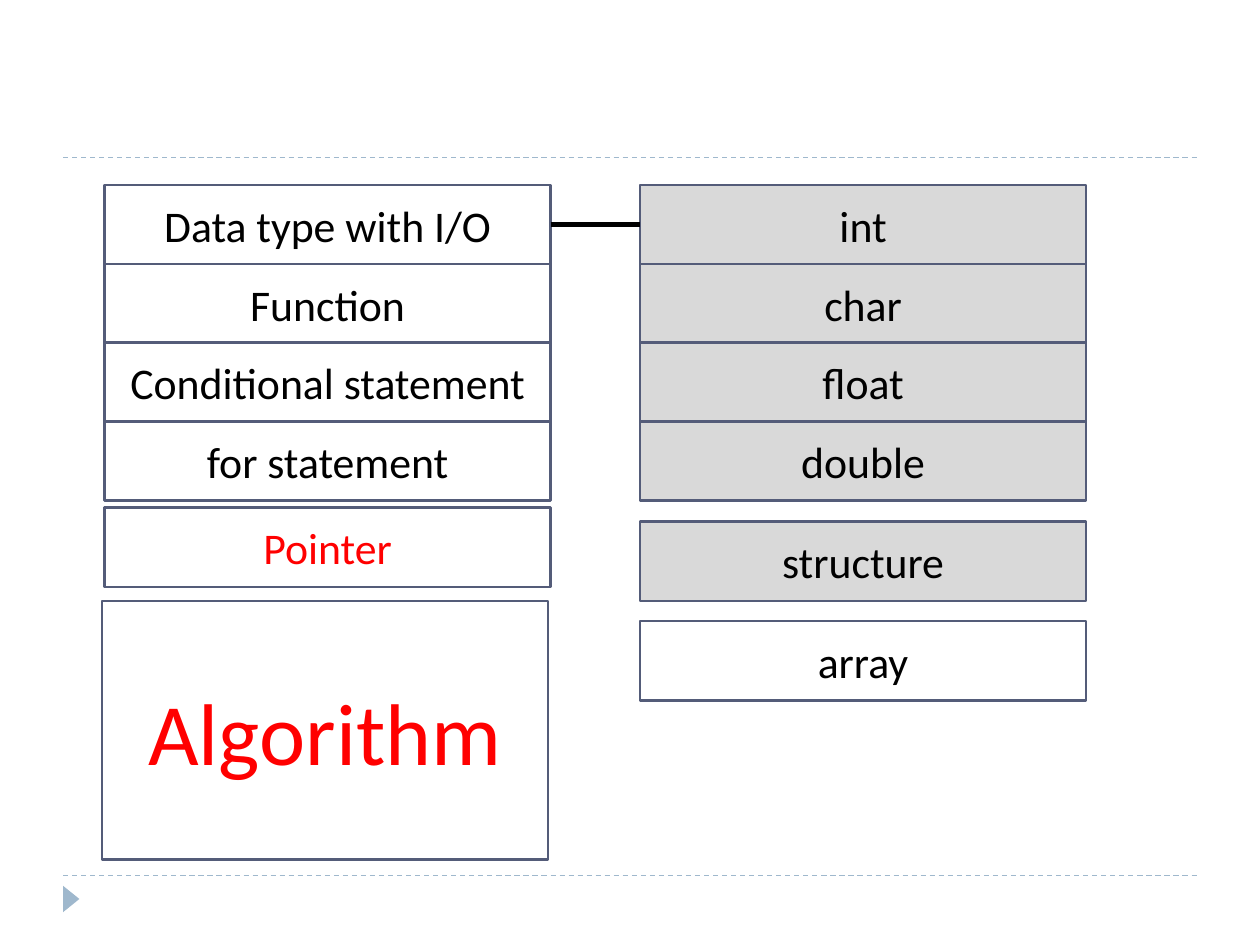
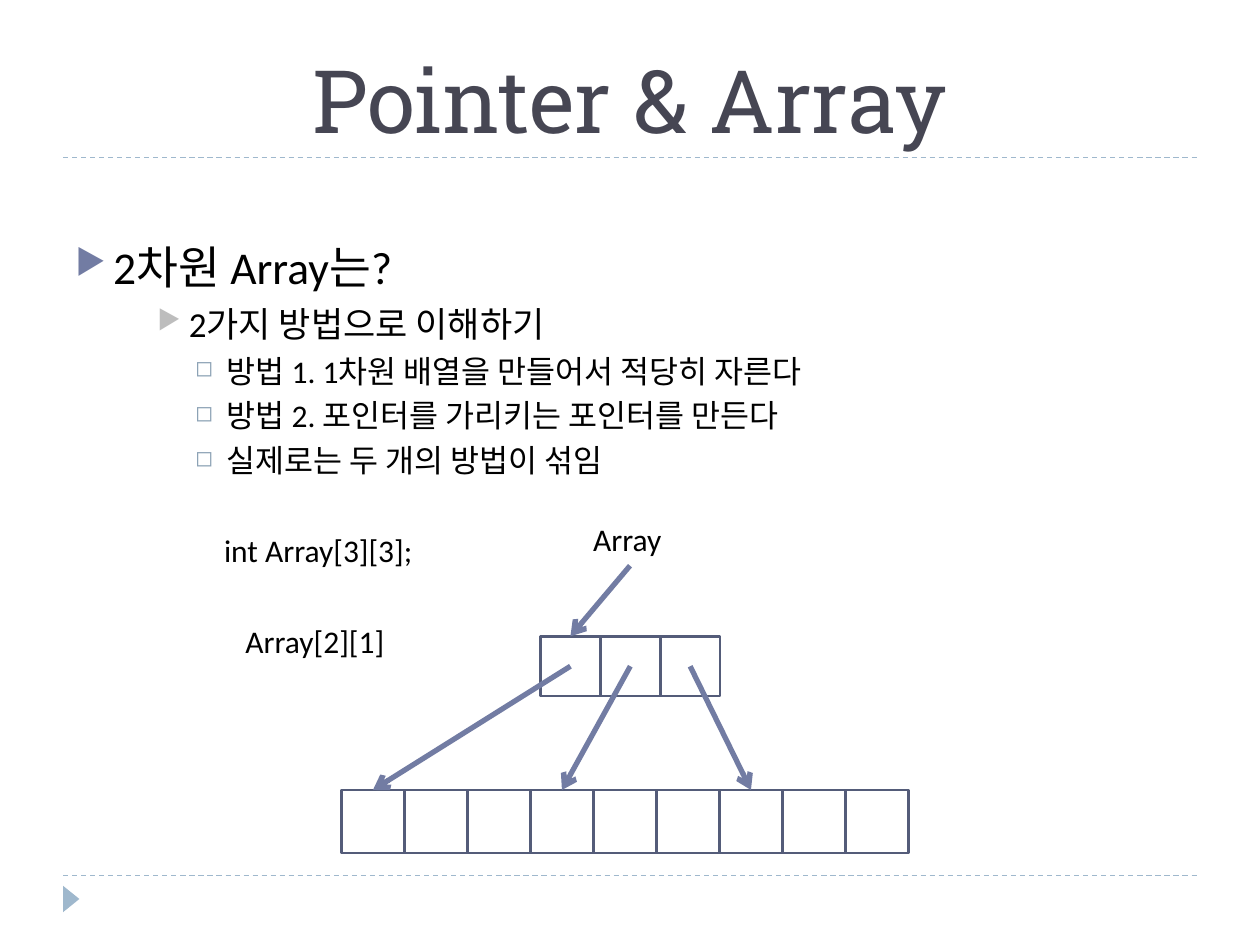
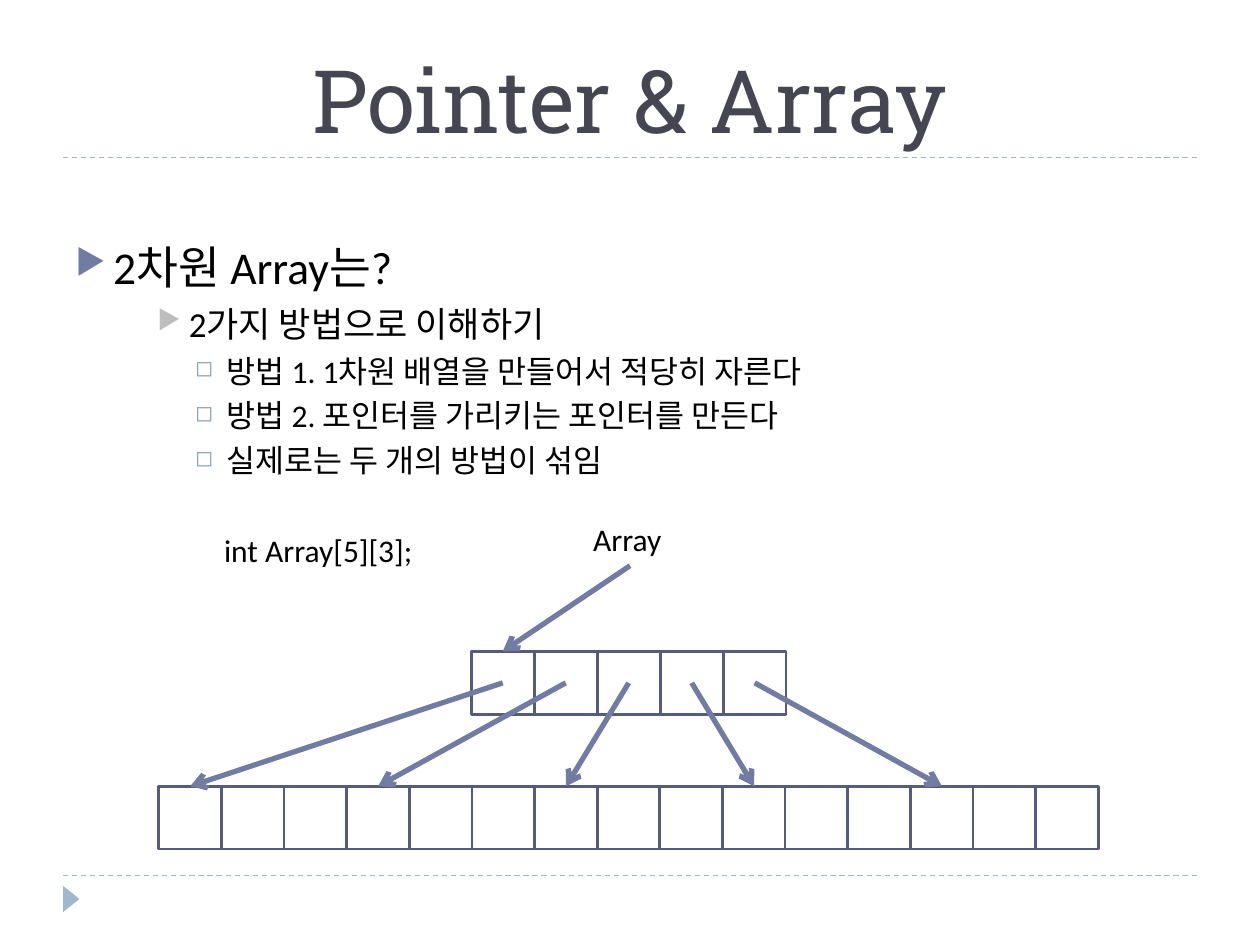
"""Build three slides on data types, pointers and arrays."""
from dataclasses import dataclass

import pptx
import pptx.dml.color
import pptx.enum.dml
import pptx.enum.shapes
import pptx.enum.text
import pptx.oxml.ns
import pptx.util
from lxml import etree

COLS, ROWS = 20, 15  # all lengths below are columns and rows of this grid
UNIT = pptx.util.Inches(0.5)
FONT, SLAB = "Calibri", "Roboto Slab"
BLACK, WHITE, RED, GREY = "000000", "FFFFFF", "FF0000", "D9D9D9"
EDGE, ARROW, PALE, INK = "545C79", "727CA3", "9FB8CD", "464653"
FORM = pptx.enum.shapes.MSO_SHAPE
ALIGN = pptx.enum.text.PP_ALIGN
ANCHOR = pptx.enum.text.MSO_ANCHOR


@dataclass
class Box:
    """A framed box with centred text."""
    text: str
    left: float
    top: float
    fill: str | None = WHITE
    ink: str = BLACK
    size: int = 25
    high: float = 1.26


@dataclass
class Strip:
    """A row of square cells, evenly spread over a width."""
    left: float
    top: float
    cell: float
    count: int
    width: float

    def edge(self, place: int) -> float:
        """Return the left edge of a cell."""
        return self.left + place * (self.width - self.cell) / (self.count - 1)

    def mid(self, place: int) -> float:
        """Return the middle of a cell."""
        return self.edge(place) + self.cell / 2


@dataclass
class Style:
    """The look of one level of body text; indents are in columns."""
    size: int
    left: float
    hang: float = 0
    gap: int = 4
    mark: str = ""
    tint: str = ""
    scale: int = 100


@dataclass
class Topic:
    """A slide that shows a two-step array."""
    code: list[tuple[str, Style]]
    heads: Strip
    cells: Strip


HEAD = Style(26, 0.6, -0.6, 0, "▶", "727CA3", 76)
POINT = Style(20, 1.8, -0.5, 5, "▶", "BDBDBD", 76)
ITEM = Style(18, 2.4, -0.5, 4, "◻", "8CA2B5", 70)
CODE = Style(18, 2.36, gap=30)
INDEX = Style(18, 2.7, gap=30)

BODY = [
    ("2차원 Array는?", HEAD),
    ("2가지 방법으로 이해하기", POINT),
    ("방법 1. 1차원 배열을 만들어서 적당히 자른다", ITEM),
    ("방법 2. 포인터를 가리키는 포인터를 만든다", ITEM),
    ("실제로는 두 개의 방법이 섞임", ITEM),
]
TOPICS = [
    Topic([("int Array[3][3];", CODE), ("Array[2][1]", INDEX)],
          Strip(8.58, 10.1, 0.95, 3, 2.85), Strip(5.42, 12.54, 1, 9, 9)),
    Topic([("int Array[5][3];", CODE)],
          Strip(7.48, 10.34, 1, 5, 5), Strip(2.52, 12.48, 1, 15, 14.92)),
]

WIDE, STEP, TOP = 7.08, 1.25, 2.94
LEFT, RIGHT = 1.66, 10.16
BASICS = ["Data type with I/O", "Function", "Conditional statement", "for statement"]
TYPES = ["int", "char", "float", "double"]
BOXES = [
    *(Box(text, LEFT, TOP + row * STEP) for row, text in enumerate(BASICS)),
    Box("Pointer", LEFT, 8.06, ink=RED),
    Box("Algorithm", 1.62, 9.54, None, RED, 50, 4.1),
    *(Box(text, RIGHT, TOP + row * STEP, GREY) for row, text in enumerate(TYPES)),
    Box("structure", RIGHT, 8.28, GREY),
    Box("array", RIGHT, 9.86),
]


def span(*units: float) -> list[int]:
    """Turn grid units into lengths."""
    return [round(unit * UNIT) for unit in units]


def paint(form, tint: str) -> None:
    """Give a fill, line or font one colour."""
    if hasattr(form, "solid"):
        form.solid()
        form = form.fore_color
    else:
        form = form.color
    form.rgb = pptx.dml.color.RGBColor.from_string(tint)


def write(para, text: str, size: int, ink: str = BLACK, font: str = FONT) -> None:
    """Set and format the text of a paragraph."""
    para.text = text
    for run in para.runs:
        run.font.name = font
        run.font.size = pptx.util.Pt(size)
        paint(run.font, ink)


def shape(slide, kind, place: tuple, fill: str | None, edge: str | None = EDGE):
    """Draw a flat preset shape."""
    item = slide.shapes.add_shape(kind, *span(*place))
    item.shadow.inherit = False
    if fill:
        paint(item.fill, fill)
    else:
        item.fill.background()
    if edge:
        paint(item.line, edge)
        item.line.width = pptx.util.Pt(1.5)
    else:
        item.line.fill.background()
    return item


def line(slide, start: tuple, end: tuple, tint: str, width: float = 3,
         dash: bool = False, arrow: bool = False) -> None:
    """Draw a straight line, dashed or with an arrowhead if asked."""
    item = slide.shapes.add_connector(
        pptx.enum.shapes.MSO_CONNECTOR.STRAIGHT, *span(*start, *end))
    paint(item.line, tint)
    item.line.width = pptx.util.Pt(width)
    if dash:
        item.line.dash_style = pptx.enum.dml.MSO_LINE.DASH
    if arrow:
        etree.SubElement(item.line._get_or_add_ln(),
                         pptx.oxml.ns.qn("a:tailEnd"), type="arrow")
    etree.SubElement(item._element.spPr, pptx.oxml.ns.qn("a:effectLst"))


def frame(slide) -> None:
    """Draw the two rules and the corner mark that all slides share."""
    for row in (13.9, 2.5):
        line(slide, (1, row), (COLS - 1, row), PALE, 0.75, dash=True)
    mark = shape(slide, FORM.ISOSCELES_TRIANGLE, (0.92, 14.14, 0.42, 0.26), PALE, None)
    mark.rotation = 90


def title(slide, text: str) -> None:
    """Place and format the slide title."""
    item = slide.shapes.title
    item.left, item.top, item.width, item.height = span(1, 0.34, COLS - 2, 2.16)
    item.text_frame.auto_size = pptx.enum.text.MSO_AUTO_SIZE.NONE
    item.text_frame.vertical_anchor = ANCHOR.BOTTOM
    para = item.text_frame.paragraphs[0]
    write(para, text, 50, INK, SLAB)
    para.alignment = ALIGN.CENTER


def bullet(para, style: Style) -> None:
    """Apply the spacing, indents and bullet of a style."""
    para.space_before = pptx.util.Pt(style.gap)
    props = para._p.get_or_add_pPr()
    left, hang = span(style.left, style.hang)
    props.set("marL", str(left))
    props.set("indent", str(hang))
    if style.mark:
        name = pptx.oxml.ns.qn
        tint = etree.SubElement(props, name("a:buClr"))
        etree.SubElement(tint, name("a:srgbClr"), val=style.tint)
        etree.SubElement(props, name("a:buSzPct"), val=str(style.scale * 1000))
        etree.SubElement(props, name("a:buChar"), char=style.mark)


def body(slide, lines: list[tuple[str, Style]]) -> None:
    """Write the outline text."""
    text = slide.shapes.add_textbox(*span(1, 3.7, COLS - 2, 10)).text_frame
    text.word_wrap = True
    for place, (words, style) in enumerate(lines):
        para = text.add_paragraph() if place else text.paragraphs[0]
        write(para, words, style.size)
        bullet(para, style)


def strip(slide, row: Strip) -> None:
    """Draw a row of cells."""
    for place in range(row.count):
        shape(slide, FORM.RECTANGLE,
              (row.edge(place), row.top, row.cell, row.cell), WHITE)


def graph(slide, heads: Strip, cells: Strip) -> None:
    """Draw the pointer row, the value row and the arrows between them."""
    strip(slide, cells)
    strip(slide, heads)
    label = slide.shapes.add_textbox(*span(9.22, 8.16, 1.54, 0.8)).text_frame
    label.word_wrap = False
    write(label.paragraphs[0], "Array", 18)
    line(slide, (COLS / 2, 8.98), (heads.mid(0), heads.top), ARROW, arrow=True)
    share = cells.count // heads.count
    for place in range(heads.count):
        line(slide, (heads.mid(place), heads.top + heads.cell / 2),
             (cells.mid(place * share), cells.top), ARROW, arrow=True)


def chart(slide) -> None:
    """Draw the overview of language parts and data types."""
    for box in BOXES:
        item = shape(slide, FORM.RECTANGLE, (box.left, box.top, WIDE, box.high), box.fill)
        item.text_frame.vertical_anchor = ANCHOR.MIDDLE
        para = item.text_frame.paragraphs[0]
        write(para, box.text, box.size, box.ink)
        para.alignment = ALIGN.CENTER
    row = TOP + STEP / 2
    line(slide, (LEFT + WIDE, row), (RIGHT, row), BLACK)


def main() -> None:
    """Build and save the slides."""
    deck = pptx.Presentation()
    deck.slide_width, deck.slide_height = span(COLS, ROWS)
    only, blank = deck.slide_layouts[5], deck.slide_layouts[6]
    slide = deck.slides.add_slide(blank)
    frame(slide)
    chart(slide)
    for topic in TOPICS:
        slide = deck.slides.add_slide(only)
        frame(slide)
        title(slide, "Pointer & Array")
        body(slide, BODY + topic.code)
        graph(slide, topic.heads, topic.cells)
    deck.save("out.pptx")


main()
